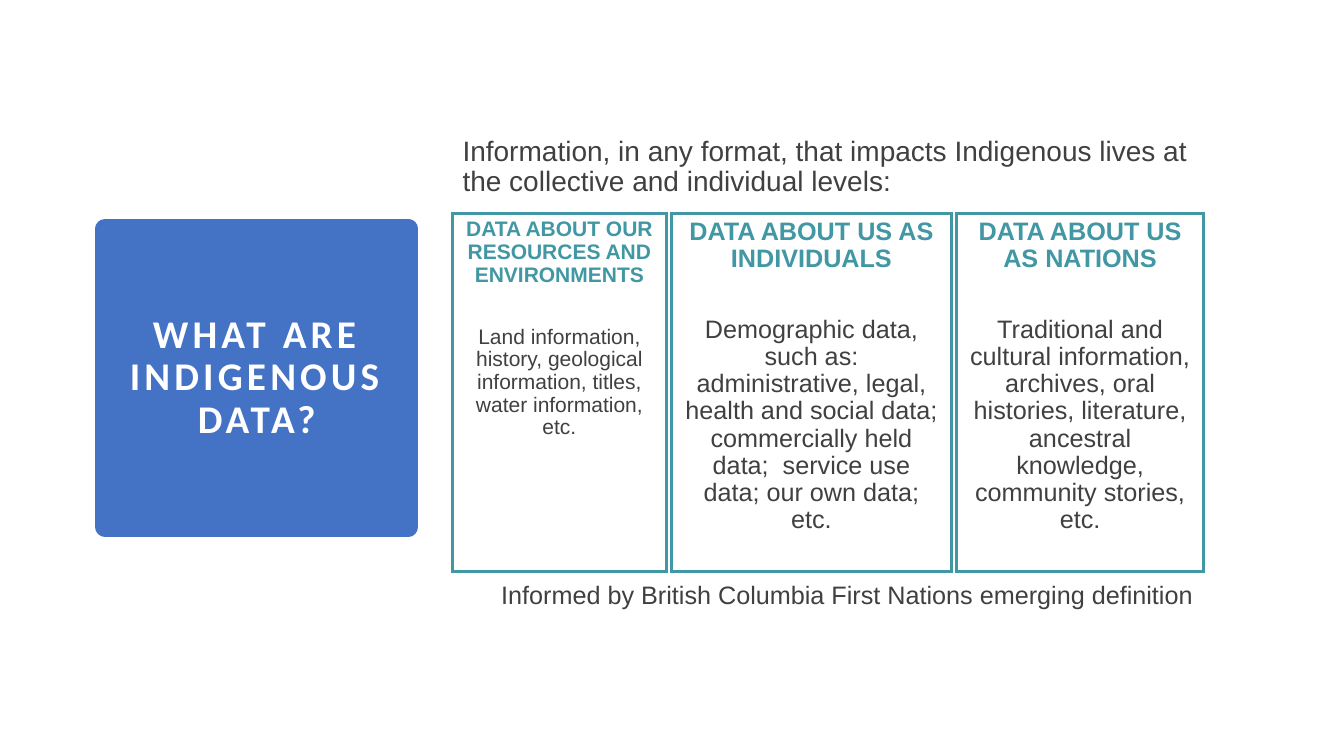
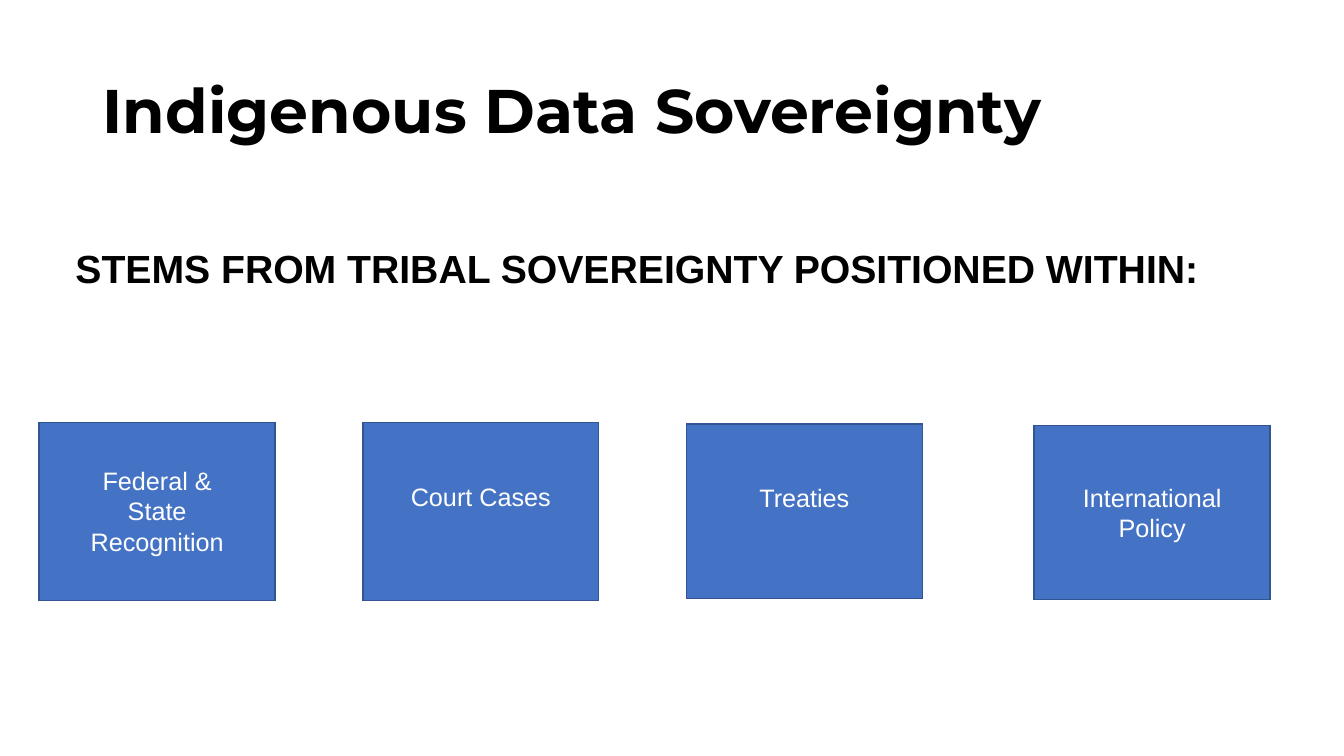
from dataclasses import dataclass
from typing import Optional

from lxml.etree import SubElement
from pptx import Presentation
from pptx.dml.color import RGBColor as RGB
from pptx.enum.shapes import MSO_SHAPE as Shape
from pptx.enum.text import MSO_ANCHOR as Anchor, PP_ALIGN as Align
from pptx.oxml.ns import qn
from pptx.util import Pt


@dataclass(frozen=True)
class Theme:
    blue: RGB = RGB.from_string("4472C4")
    blue_edge: RGB = RGB.from_string("325491")
    teal: RGB = RGB.from_string("4197A3")
    gray: RGB = RGB.from_string("404040")
    black: RGB = RGB.from_string("000000")
    white: RGB = RGB.from_string("FFFFFF")
    body_font: str = "Arial"
    panel_font: str = "Calibri"
    title_font: str = "Montserrat"
    title: float = 44
    heading: float = 28
    intro: float = 20
    body: float = 18
    small: float = 15


T = Theme()


@dataclass(frozen=True)
class Box:
    left: float
    top: float
    width: float
    height: float

    def pts(self) -> tuple:
        return Pt(self.left), Pt(self.top), Pt(self.width), Pt(self.height)


@dataclass(frozen=True)
class Para:
    text: str
    size: float = T.body
    color: RGB = T.gray
    bold: bool = False
    font: str = T.body_font
    align: Align = Align.LEFT
    line: float = 1.0
    after: float = 0
    tracking: float = 0


@dataclass(frozen=True)
class Column:
    width: float
    size: float
    gap: float
    heading: str
    body: str


@dataclass(frozen=True)
class Card:
    left: float
    top: float
    height: float
    label_top: float
    label_height: float
    label: str


COLUMNS = (
    Column(152.6, T.small, 28, "DATA ABOUT OUR RESOURCES AND ENVIRONMENTS",
           "Land information, history, geological information, titles, "
           "water information, etc."),
    Column(200.2, T.body, 31, "DATA ABOUT US AS INDIVIDUALS",
           "Demographic data, such as: administrative, legal, health and "
           "social data; commercially held data;  service use data; "
           "our own data; etc."),
    Column(176.4, T.body, 31, "DATA ABOUT US AS NATIONS",
           "Traditional and cultural information, archives, oral histories, "
           "literature, ancestral knowledge, community stories, etc."),
)

CARDS = (
    Card(28, 301.7, 127.5, 329, 73, "Federal & State Recognition"),
    Card(259.2, 301.7, 127.5, 340, 29, "Court Cases"),
    Card(490.3, 303, 124.5, 341.3, 29, "Treaties"),
    Card(738.7, 304, 124.5, 340.6, 51, "International Policy"),
)


def write(shape, paras: tuple, anchor: Anchor) -> None:
    tf = shape.text_frame
    tf.word_wrap = True
    tf.vertical_anchor = anchor
    for i, para in enumerate(paras):
        p = tf.add_paragraph() if i else tf.paragraphs[0]
        p.text = para.text
        p.alignment = para.align
        p.line_spacing = para.line
        p.space_after = Pt(para.after)
        p.font.name = para.font
        p.font.size = Pt(para.size)
        p.font.bold = para.bold
        p.font.color.rgb = para.color
        if para.tracking:
            r_pr = p._p.pPr.find(qn("a:defRPr"))
            r_pr.set("spc", str(int(para.tracking * 100)))


def add_text(s, box: Box, *paras: Para, anchor: Anchor = Anchor.TOP) -> None:
    write(s.shapes.add_textbox(*box.pts()), paras, anchor)


def add_rect(s, box: Box, fill: RGB, edge: RGB, weight: float,
             paras: Optional[tuple] = None, anchor: Anchor = Anchor.TOP,
             join: str = "miter") -> None:
    sp = s.shapes.add_shape(Shape.RECTANGLE, *box.pts())
    sp.shadow.inherit = False
    sp.fill.solid()
    sp.fill.fore_color.rgb = fill
    sp.line.color.rgb = edge
    sp.line.width = Pt(weight)
    SubElement(sp.line._get_or_add_ln(), qn(f"a:{join}"))
    if paras:
        write(sp, paras, anchor)


def build_definition(s) -> None:
    left, width, gap = 323.3, 536, 3.6
    question = Para("WHAT ARE INDIGENOUS DATA?", T.heading, T.white, True,
                    T.panel_font, Align.CENTER, 0.9, 6, tracking=3)
    add_rect(s, Box(75, 163.5, 216.7, 213), T.blue, T.blue, 13.75,
             (question,), Anchor.MIDDLE, "round")
    add_text(s, Box(left, 94.3, width, 55),
             Para("Information, in any format, that impacts Indigenous lives "
                  "at the collective and individual levels:",
                  T.intro, line=0.9, after=6))
    x = left
    for col in COLUMNS:
        heading = Para(col.heading, col.size, T.teal, True,
                       align=Align.CENTER, line=0.9, after=col.gap)
        body = Para(col.body, col.size, align=Align.CENTER, line=0.9, after=6)
        add_rect(s, Box(x, 152.6, col.width, 255.6), T.white, T.teal, 2.25,
                 (heading, body))
        x += col.width + gap
    add_text(s, Box(left, 412.6, width, 33),
             Para("Informed by British Columbia First Nations emerging "
                  "definition", align=Align.RIGHT, line=0.9, after=6))


def build_sovereignty(s) -> None:
    card_width, label_inset = 168.5, 18.5
    add_text(s, Box(66.2, 28.8, 828, 104.4),
             Para("Indigenous Data Sovereignty", T.title, T.black, True,
                  T.title_font, line=0.9), anchor=Anchor.MIDDLE)
    add_text(s, Box(46.8, 146.2, 890, 90),
             Para("STEMS FROM TRIBAL SOVEREIGNTY POSITIONED WITHIN:",
                  T.heading, T.black, True), anchor=Anchor.MIDDLE)
    for card in CARDS:
        add_rect(s, Box(card.left, card.top, card_width, card.height),
                 T.blue, T.blue_edge, 1)
        add_text(s, Box(card.left + label_inset, card.label_top,
                        card_width - 2 * label_inset, card.label_height),
                 Para(card.label, color=T.white, align=Align.CENTER))


def main() -> None:
    prs = Presentation()
    prs.slide_width, prs.slide_height = Pt(960), Pt(540)
    for build in (build_definition, build_sovereignty):
        build(prs.slides.add_slide(prs.slide_layouts[6]))
    prs.save("out.pptx")


if __name__ == "__main__":
    main()
